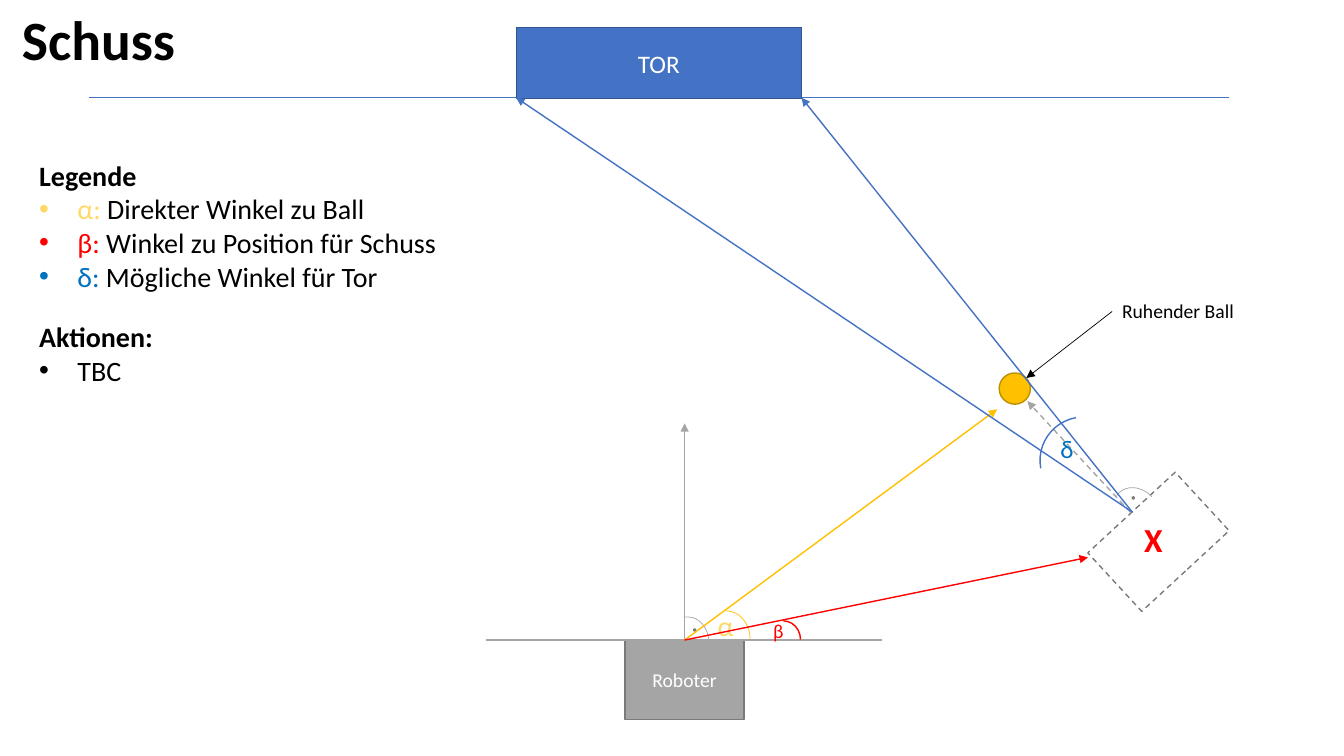
from dataclasses import dataclass
from typing import Optional

from lxml.etree import SubElement
from pptx import Presentation
from pptx.dml.color import RGBColor
from pptx.enum.dml import MSO_LINE
from pptx.enum.shapes import MSO_CONNECTOR, MSO_SHAPE
from pptx.enum.text import MSO_ANCHOR, PP_ALIGN
from pptx.oxml.ns import qn
from pptx.util import Inches, Pt


@dataclass(frozen=True)
class Theme:
    """Colours, font and type sizes of the slide."""
    font: str = "Calibri"
    black: str = "000000"
    white: str = "FFFFFF"
    blue: str = "4472C4"
    dark_blue: str = "325491"
    delta: str = "0070C0"
    gray: str = "A5A5A5"
    dark_gray: str = "7A7A7A"
    gold: str = "FFC000"
    dark_gold: str = "BD8E00"
    alpha: str = "FFD966"
    red: str = "FF0000"
    title: float = 39.6
    mark: float = 24
    body: float = 20
    goal: float = 18
    small: float = 14


THEME = Theme()
Point = tuple[float, float]
Box = tuple[float, float, float, float]


@dataclass(frozen=True)
class Run:
    """A piece of text in one style."""
    text: str
    color: str = THEME.black
    size: float = THEME.body
    bold: bool = False


@dataclass(frozen=True)
class Line:
    """A straight line or arrow."""
    start: Point
    end: Point
    color: str
    width: float = 1
    arrow: bool = True
    dashed: bool = False


@dataclass(frozen=True)
class Figure:
    """A preset shape with an optional centred label."""
    kind: MSO_SHAPE
    box: Box
    outline: str
    fill: Optional[str] = None
    width: float = 1
    rotation: float = 0
    dashed: bool = False
    label: Optional[Run] = None
    arc_start: Optional[float] = None


@dataclass(frozen=True)
class Note:
    """A text box; paragraphs after the first may be bulleted."""
    box: Box
    paragraphs: tuple[tuple[Run, ...], ...]
    wrap: bool = True


def add_run(paragraph, run: Run) -> None:
    """Append one styled run."""
    item = paragraph.add_run()
    item.text = run.text
    item.font.name = THEME.font
    item.font.size = Pt(run.size)
    item.font.bold = run.bold
    item.font.color.rgb = RGBColor.from_string(run.color)


def add_bullet(paragraph) -> None:
    """Give a paragraph a hanging bullet."""
    properties = paragraph._p.get_or_add_pPr()
    properties.set("marL", str(Inches(0.38)))
    properties.set("indent", str(Inches(-0.38)))
    SubElement(properties, qn("a:buFont")).set("typeface", "Arial")
    SubElement(properties, qn("a:buChar")).set("char", "•")


def style_line(line, color: str, width: float, dashed: bool) -> None:
    """Set colour, width and dash of an outline."""
    line.color.rgb = RGBColor.from_string(color)
    line.width = Pt(width)
    if dashed:
        line.dash_style = MSO_LINE.DASH


def draw_line(slide, line: Line) -> None:
    """Draw a line, with an arrowhead at its end if asked."""
    connector = slide.shapes.add_connector(
        MSO_CONNECTOR.STRAIGHT, *map(Inches, line.start + line.end))
    style_line(connector.line, line.color, line.width, line.dashed)
    if line.arrow:
        SubElement(connector.line._get_or_add_ln(), qn("a:tailEnd")).set("type", "triangle")
    SubElement(connector._element.spPr, qn("a:effectLst"))


def draw_figure(slide, figure: Figure) -> None:
    """Draw a preset shape."""
    shape = slide.shapes.add_shape(figure.kind, *map(Inches, figure.box))
    shape.shadow.inherit = False
    shape.rotation = figure.rotation
    if figure.arc_start is not None:
        shape.adjustments[0] = figure.arc_start
    if figure.fill:
        shape.fill.solid()
        shape.fill.fore_color.rgb = RGBColor.from_string(figure.fill)
    else:
        shape.fill.background()
    style_line(shape.line, figure.outline, figure.width, figure.dashed)
    if figure.label:
        shape.text_frame.vertical_anchor = MSO_ANCHOR.MIDDLE
        paragraph = shape.text_frame.paragraphs[0]
        paragraph.alignment = PP_ALIGN.CENTER
        add_run(paragraph, figure.label)


def draw_note(slide, note: Note):
    """Draw a text box and return its frame."""
    frame = slide.shapes.add_textbox(*map(Inches, note.box)).text_frame
    frame.word_wrap = note.wrap
    for index, runs in enumerate(note.paragraphs):
        paragraph = frame.add_paragraph() if index else frame.paragraphs[0]
        if index:
            add_bullet(paragraph)
        for run in runs:
            add_run(paragraph, run)
    return frame


def symbol(box: Box, text: str, color: str, size: float, bold: bool = False) -> Note:
    """Describe an unwrapped one-run label."""
    return Note(box, ((Run(text, color, size, bold),),), wrap=False)


ROBOT, TARGET = (6.79, 6.35), (11.23, 5.08)
GOAL_LEFT, GOAL_RIGHT = (5.12, 0.97), (7.95, 0.97)
TILT, RIGHT_ANGLE = 317.3, 156.75
RECT, OVAL, ARC = MSO_SHAPE.RECTANGLE, MSO_SHAPE.OVAL, MSO_SHAPE.ARC

TITLE = Note((0.12, 0.11, 2, 0.63), ((Run("Schuss", size=THEME.title, bold=True),),))
ELEMENTS = (
    Line((0.88, 0.97), GOAL_LEFT, THEME.blue, arrow=False),
    Line(GOAL_RIGHT, (12.19, 0.97), THEME.blue, arrow=False),
    Figure(RECT, (6.2, 6.35, 1.18, 0.79), THEME.dark_gray, THEME.gray,
           label=Run("Roboter", THEME.white, THEME.small)),
    Line((4.82, 6.35), (8.75, 6.35), THEME.gray, arrow=False),
    Line(ROBOT, (6.79, 4.2), THEME.gray),
    Figure(ARC, (6.61, 6.12, 0.42, 0.5), THEME.gray, width=0.5, arc_start=RIGHT_ANGLE),
    Figure(OVAL, (6.88, 6.24, 0.02, 0.02), THEME.dark_gray, THEME.gray),
    Figure(RECT, (5.12, 0.27, 2.83, 0.71), THEME.dark_blue, THEME.blue,
           label=Run("TOR", THEME.white, THEME.goal)),
    Figure(OVAL, (9.91, 3.7, 0.31, 0.31), THEME.dark_gold, THEME.gold),
    Line(ROBOT, (9.89, 4.06), THEME.gold),
    Figure(ARC, (6.96, 6.06, 0.48, 0.56), THEME.gold, width=0.5),
    symbol((7.02, 5.99, 0.36, 0.44), "α", THEME.alpha, THEME.body),
    Note((0.29, 1.52, 6.73, 1.45), (
        (Run("Legende", bold=True),),
        (Run("α: ", THEME.alpha), Run("Direkter Winkel zu Ball")),
        (Run("β: ", THEME.red), Run("Winkel zu Position für Schuss")),
        (Run("δ:", THEME.delta), Run(" Mögliche Winkel für Tor")))),
    symbol((11.25, 5.1, 0.39, 0.5), "X", THEME.red, THEME.mark, bold=True),
    Line(ROBOT, (10.79, 5.53), THEME.red),
    Figure(ARC, (7.6, 6.16, 0.34, 0.37), THEME.red),
    symbol((7.57, 6.09, 0.31, 0.34), "β", THEME.red, THEME.small),
    Note((11.03, 2.92, 1.45, 0.34), ((Run("Ruhender Ball", size=THEME.small),),)),
    Figure(RECT, (10.9, 4.98, 1.18, 0.79), THEME.dark_gray, rotation=TILT, dashed=True),
    Line((11.21, 5.08), (10.19, 3.98), THEME.gray, dashed=True),
    Figure(ARC, (11.06, 4.82, 0.42, 0.5), THEME.gray, width=0.5, rotation=TILT,
           arc_start=RIGHT_ANGLE),
    Figure(OVAL, (11.23, 4.93, 0.02, 0.02), THEME.dark_gray, THEME.gray, rotation=TILT),
    Line((11.03, 3.09), (10.18, 3.75), THEME.black, width=0.5),
    Line(TARGET, GOAL_RIGHT, THEME.blue),
    Line(TARGET, GOAL_LEFT, THEME.blue),
    Figure(ARC, (10.32, 4.13, 0.86, 0.87), THEME.blue, rotation=259.4),
    symbol((10.42, 4.25, 0.33, 0.4), "δ", THEME.delta, THEME.goal),
    Note((0.29, 3.12, 6.73, 0.77), ((Run("Aktionen:", bold=True),), (Run("TBC"),))),
)
DRAW = {Line: draw_line, Figure: draw_figure, Note: draw_note}

presentation = Presentation()
presentation.slide_width, presentation.slide_height = Inches(13.33), Inches(7.5)
slide = presentation.slides.add_slide(presentation.slide_layouts[6])
title_frame = draw_note(slide, TITLE)
title_frame.vertical_anchor = MSO_ANCHOR.MIDDLE
title_frame.paragraphs[0].line_spacing = 0.9
for element in ELEMENTS:
    DRAW[type(element)](slide, element)
presentation.save("out.pptx")
